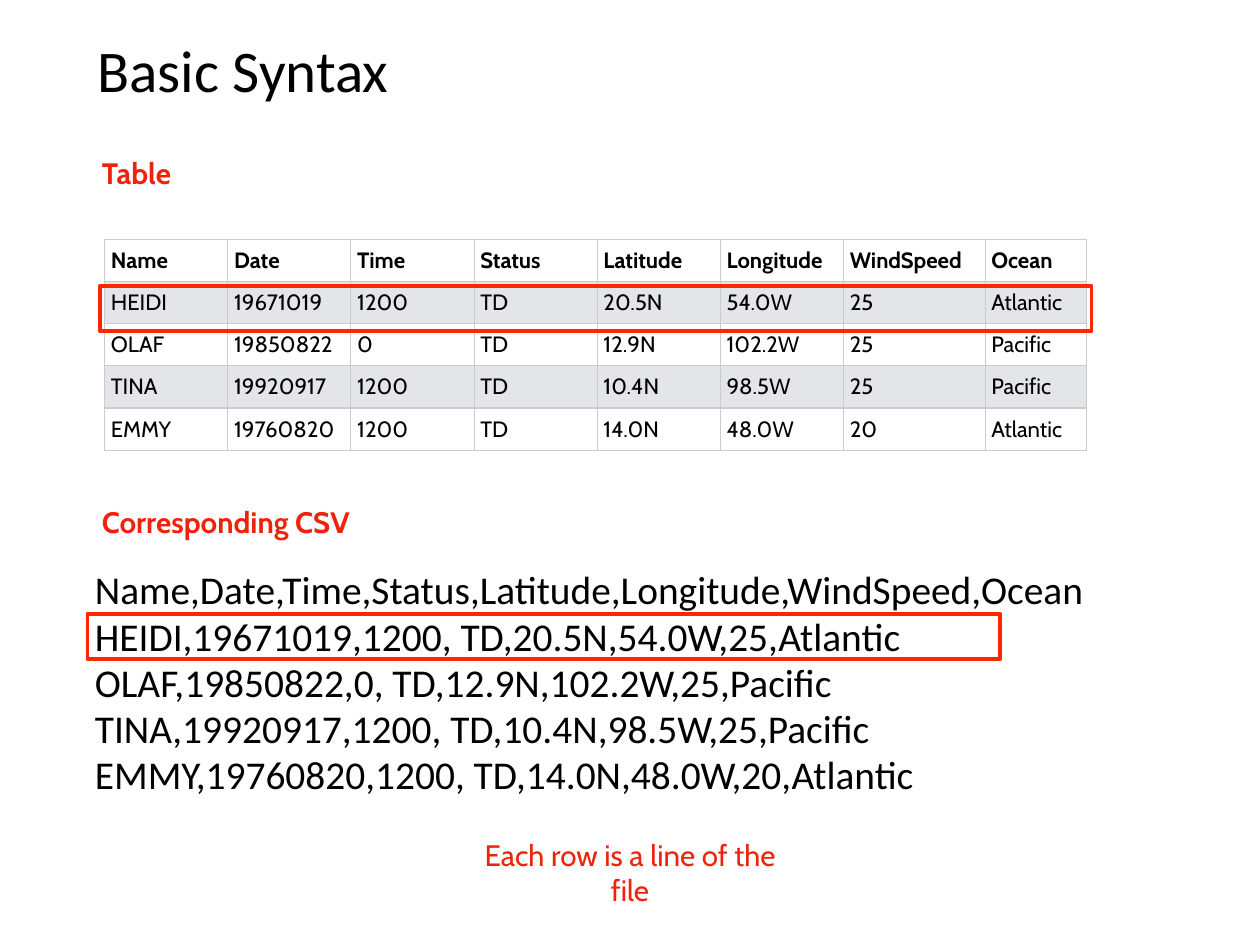
from lxml import etree
from pptx import Presentation
from pptx.dml.color import RGBColor
from pptx.enum import shapes, text
from pptx.oxml import ns
from pptx.util import Cm, Pt

# Content
TITLE = "Basic Syntax"
RECORDS = [
    ("Name", "Date", "Time", "Status", "Latitude", "Longitude", "WindSpeed", "Ocean"),
    ("HEIDI", "19671019", "1200", "TD", "20.5N", "54.0W", "25", "Atlantic"),
    ("OLAF", "19850822", "0", "TD", "12.9N", "102.2W", "25", "Pacific"),
    ("TINA", "19920917", "1200", "TD", "10.4N", "98.5W", "25", "Pacific"),
    ("EMMY", "19760820", "1200", "TD", "14.0N", "48.0W", "20", "Atlantic"),
]
STATUS = 3  # data lines have a space before this field

# Captions: text, box (left, top, width, height in cm), bold, alignment, wrap
LEFT, CENTER = text.PP_ALIGN.LEFT, text.PP_ALIGN.CENTER
CAPTIONS = [
    ("Table", (2.77, 4.32, 2.72, 1.27), True, LEFT, False),
    ("Corresponding CSV", (2.77, 14.33, 8.66, 1.27), True, LEFT, False),
    ("Each row is a line of the file", (13.16, 24.38, 9.8, 1.27), False, CENTER, True),
]

# Layout in cm
TITLE_BOX = (2.64, 0.71, 30.84, 2.51)
CSV_BOX = (2.57, 16.13, 32.31, 9.6)
TABLE_LEFT, TABLE_TOP, ROW_HEIGHT = 3.0, 6.86, 1.21
COL_WIDTHS = [3.53] * 6 + [4.06, 2.92]
HIGHLIGHTS = [(2.87, 8.2, 28.42, 1.3), (2.51, 17.6, 26.16, 1.3)]
INSET = 0.15

COLORS = {"text": "000000", "caption": "EE230C", "highlight": "FF2600",
          "plain": "FFFFFF", "band": "E3E5E8", "border": "CBCBCB"}


def rgb(name):
    return RGBColor.from_string(COLORS[name])


def place(sp, box):
    sp.left, sp.top, sp.width, sp.height = map(Cm, box)


def set_frame(tf, anchor, wrap=True):
    tf.margin_left = tf.margin_right = tf.margin_top = tf.margin_bottom = Cm(INSET)
    tf.vertical_anchor = anchor
    tf.auto_size = text.MSO_AUTO_SIZE.NONE
    tf.word_wrap = wrap


def add_run(p, words, size, font, color="text", bold=False):
    r = p.add_run()
    r.text = words
    r.font.size, r.font.name, r.font.bold = Pt(size), font, bold
    r.font.color.rgb = rgb(color)


def add_borders(cell):
    tc_pr = cell._tc.get_or_add_tcPr()
    for side in ("a:lnL", "a:lnR", "a:lnT", "a:lnB"):
        ln = etree.SubElement(tc_pr, ns.qn(side), w=str(Pt(1)))
        fill = etree.SubElement(ln, ns.qn("a:solidFill"))
        etree.SubElement(fill, ns.qn("a:srgbClr"), val=COLORS["border"])


def csv_line(i, record):
    return ",".join(" " + field if i and j == STATUS else field
                    for j, field in enumerate(record))


prs = Presentation()
prs.slide_width, prs.slide_height = Cm(36.12), Cm(27.1)
s = prs.slides.add_slide(prs.slide_layouts[1])

# Title
title = s.shapes.title
place(title, TITLE_BOX)
set_frame(title.text_frame, text.MSO_ANCHOR.MIDDLE)
p = title.text_frame.paragraphs[0]
p.alignment = LEFT
add_run(p, TITLE, 48, "Calibri")

# CSV lines
body = s.placeholders[1]
place(body, CSV_BOX)
tf = body.text_frame
set_frame(tf, text.MSO_ANCHOR.TOP)
for i, record in enumerate(RECORDS):
    p = tf.add_paragraph() if i else tf.paragraphs[0]
    p_pr = p._p.get_or_add_pPr()
    p_pr.set("marL", "0")
    p_pr.set("indent", "0")
    etree.SubElement(p_pr, ns.qn("a:buNone"))
    p.space_before = Pt(0)
    p.line_spacing = 0.98
    add_run(p, csv_line(i, record), 32, "Calibri")

# Table
frame = s.shapes.add_table(len(RECORDS), len(COL_WIDTHS), Cm(TABLE_LEFT), Cm(TABLE_TOP),
                           Cm(sum(COL_WIDTHS)), Cm(ROW_HEIGHT * len(RECORDS)))
table = frame.table
table.first_row = table.horz_banding = False
for col, width in zip(table.columns, COL_WIDTHS):
    col.width = Cm(width)
for i, record in enumerate(RECORDS):
    table.rows[i].height = Cm(ROW_HEIGHT)
    for j, field in enumerate(record):
        cell = table.cell(i, j)
        cell.margin_left = cell.margin_right = Cm(0.18)
        cell.margin_top = cell.margin_bottom = 0
        cell.vertical_anchor = text.MSO_ANCHOR.MIDDLE
        add_borders(cell)
        cell.fill.solid()
        cell.fill.fore_color.rgb = rgb("band" if i % 2 else "plain")
        add_run(cell.text_frame.paragraphs[0], field, 18, "Cabin", bold=i == 0)

# Captions
for words, box, bold, align, wrap in CAPTIONS:
    sp = s.shapes.add_textbox(*map(Cm, box))
    set_frame(sp.text_frame, text.MSO_ANCHOR.MIDDLE, wrap)
    p = sp.text_frame.paragraphs[0]
    p.alignment = align
    add_run(p, words, 24, "Cabin", "caption", bold)

# Frames around the matching row and line
for box in HIGHLIGHTS:
    sp = s.shapes.add_shape(shapes.MSO_SHAPE.RECTANGLE, *map(Cm, box))
    sp.shadow.inherit = False
    sp.fill.background()
    sp.line.color.rgb = rgb("highlight")
    sp.line.width = Pt(3)

prs.save("out.pptx")
